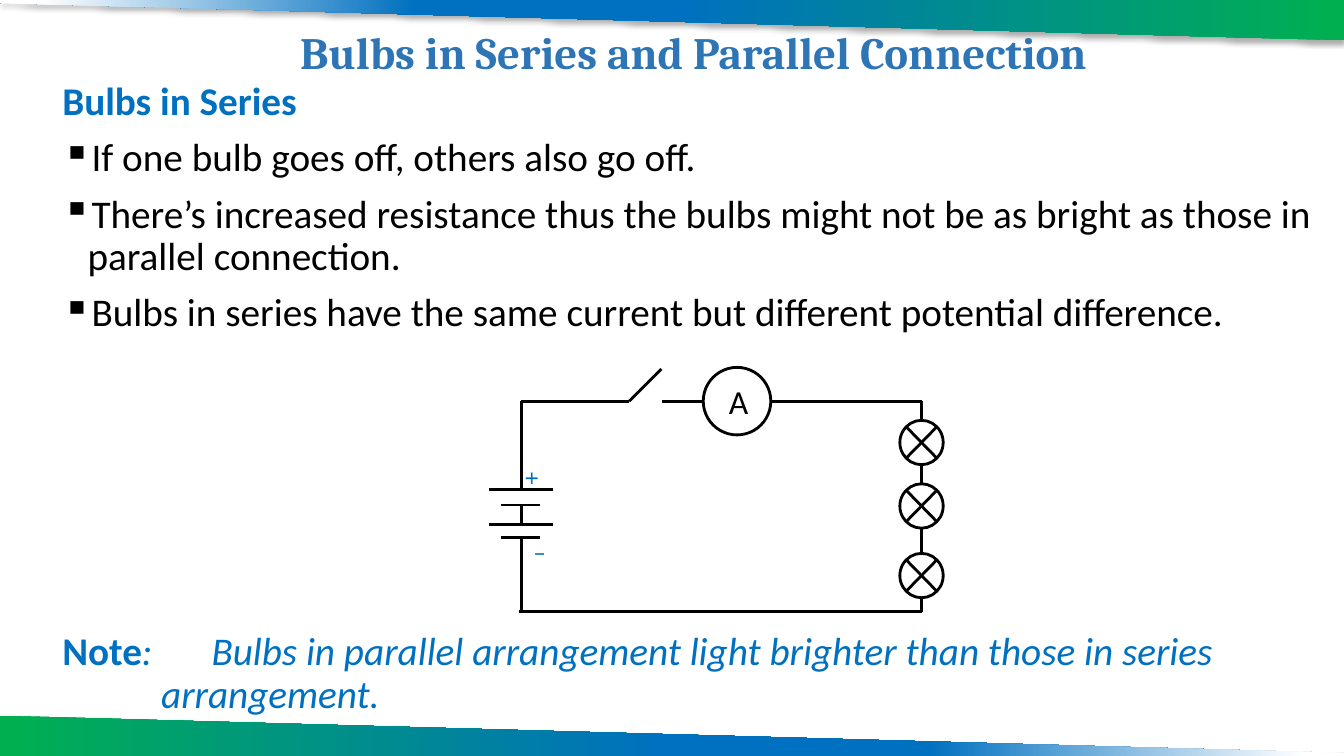
from dataclasses import dataclass, field
from typing import NamedTuple

from lxml.etree import SubElement
from pptx import Presentation
from pptx.dml.color import RGBColor
from pptx.enum.shapes import MSO_CONNECTOR as Connector, MSO_SHAPE as Shape
from pptx.enum.text import MSO_ANCHOR as Anchor, PP_ALIGN as Align
from pptx.oxml import parse_xml
from pptx.oxml.ns import nsdecls, qn
from pptx.util import Inches, Pt

BLACK, WHITE, BLUE, TITLE_BLUE, GREEN = "000000", "FFFFFF", "0070C0", "2E75B6", "00B050"
WIDTH, HEIGHT = 13.33, 7.5
BAND_STOPS = [(0, GREEN), (50, BLUE), (69, BLUE), (97, WHITE)]


class Box(NamedTuple):
    left: float
    top: float
    width: float
    height: float


class Wire(NamedTuple):
    x1: float
    y1: float
    x2: float
    y2: float


class Band(NamedTuple):
    corners: list[tuple[float, float]]
    angle: int


class Run(NamedTuple):
    text: str
    color: str = BLACK
    style: dict = {}


@dataclass
class Para:
    runs: list[Run]
    bullet: str = ""
    hang: float = 0
    tab: float = 0
    align: Align = Align.LEFT
    spacing: float = 0.9


@dataclass
class TextBlock:
    box: Box
    paras: list[Para]
    font: dict
    anchor: Anchor = Anchor.TOP
    inset: tuple[float, float] = (0.1, 0.05)
    rotation: float = 0


@dataclass
class Symbol:
    kind: Shape
    center: tuple[float, float]
    size: tuple[float, float] = field(default=(0.43, 0.44))


def rgb(value: str) -> RGBColor:
    return RGBColor.from_string(value)


def draw_band(shapes, band: Band) -> None:
    start, *others = [(Inches(x), Inches(y)) for x, y in band.corners]
    builder = shapes.build_freeform(*start)
    builder.add_line_segments(others, close=True)
    shape = builder.convert_to_shape()
    shape.line.fill.background()
    stops = "".join(f'<a:gs pos="{pos * 1000}"><a:srgbClr val="{color}"/></a:gs>'
                    for pos, color in BAND_STOPS)
    properties = shape._element.spPr
    outline = properties.find(qn("a:ln"))
    outline.addprevious(parse_xml(
        f'<a:gradFill {nsdecls("a")} rotWithShape="1"><a:gsLst>{stops}</a:gsLst>'
        f'<a:lin ang="{band.angle * 60000}" scaled="0"/></a:gradFill>'))
    outline.addnext(parse_xml(
        f'<a:effectLst {nsdecls("a")}><a:outerShdw blurRad="{Pt(3.5)}" dist="{Pt(2.2)}" '
        f'dir="5400000" rotWithShape="0"><a:srgbClr val="{BLACK}">'
        '<a:alpha val="32000"/></a:srgbClr></a:outerShdw></a:effectLst>'))


def draw_text(shapes, block: TextBlock) -> None:
    shape = shapes.add_textbox(*map(Inches, block.box))
    shape.rotation = block.rotation
    frame = shape.text_frame
    side, end = map(Inches, block.inset)
    layout = {"word_wrap": True, "vertical_anchor": block.anchor, "margin_left": side,
              "margin_right": side, "margin_top": end, "margin_bottom": end}
    for name, value in layout.items():
        setattr(frame, name, value)
    for index, para in enumerate(block.paras):
        paragraph = frame.add_paragraph() if index else frame.paragraphs[0]
        paragraph.alignment = para.align
        paragraph.line_spacing = para.spacing
        if index:
            paragraph.space_before = Pt(10)
        properties = paragraph._p.get_or_add_pPr()
        if para.hang:
            properties.set("marL", str(Inches(para.hang)))
            properties.set("indent", str(-Inches(para.hang)))
        if para.bullet:
            SubElement(properties, qn("a:buChar")).set("char", para.bullet)
        if para.tab:
            tab = SubElement(SubElement(properties, qn("a:tabLst")), qn("a:tab"))
            tab.set("pos", str(Inches(para.tab)))
            tab.set("algn", "l")
        for part in para.runs:
            run = paragraph.add_run()
            run.text = part.text
            for name, value in {**block.font, **part.style}.items():
                setattr(run.font, name, value)
            run.font.color.rgb = rgb(part.color)


def draw_wire(shapes, wire: Wire) -> None:
    line = shapes.add_connector(Connector.STRAIGHT, *map(Inches, wire))
    line.line.width = Pt(2)
    line.line.color.rgb = rgb(BLACK)
    SubElement(line._element.spPr, qn("a:effectLst"))


def draw_symbol(shapes, symbol: Symbol) -> None:
    (x, y), (width, height) = symbol.center, symbol.size
    box = Box(x - width / 2, y - height / 2, width, height)
    shape = shapes.add_shape(symbol.kind, *map(Inches, box))
    shape.shadow.inherit = False
    shape.fill.solid()
    shape.fill.fore_color.rgb = rgb(WHITE)
    shape.line.color.rgb = rgb(BLACK)
    shape.line.width = Pt(2)


# Decorative bands along the top and bottom edges
BANDS = [
    Band([(0, 0), (WIDTH, 0), (WIDTH, 0.4), (0, 0.03)], 180),
    Band([(WIDTH, HEIGHT), (0, HEIGHT), (0, 7.1), (WIDTH, 7.47)], 0),
]

# Title, bullets and note
BODY = {"name": "Calibri", "size": Pt(28)}
BOLD, ITALIC = {"bold": True}, {"italic": True}
POINTS = [
    "If one bulb goes off, others also go off.",
    "There’s increased resistance thus the bulbs might not be as bright as those in "
    "parallel connection.",
    "Bulbs in series have the same current but different potential difference.",
]
TEXTS = [
    TextBlock(Box(1.29, 0.14, 11.18, 0.81),
              [Para([Run("Bulbs in Series and Parallel Connection", TITLE_BLUE, BOLD)],
                    align=Align.CENTER)],
              {"name": "Cambria", "size": Pt(32)}, Anchor.MIDDLE),
    TextBlock(Box(0.52, 0.76, 12.65, 2.7),
              [Para([Run("Bulbs in Series", BLUE, BOLD)])]
              + [Para([Run(point)], bullet="▪", hang=0.25) for point in POINTS], BODY),
    TextBlock(Box(0.52, 6.22, 12.65, 0.98),
              [Para([Run("Note", BLUE, BOLD),
                     Run(": \tBulbs in parallel arrangement light brighter than those in "
                         "series arrangement.", BLUE, ITALIC)], hang=0.98, tab=0.98)], BODY),
]

# Circuit: battery on the left, switch and ammeter on top, bulbs on the right
LEFT, RIGHT, TOP, BOTTOM = 5.17, 9.14, 3.98, 6.07
SWITCH = 6.24
LONG_PLATES, SHORT_PLATES = (4.86, 5.2), (5.01, 5.33)
PLATES = ([Wire(4.85, y, 5.48, y) for y in LONG_PLATES]
          + [Wire(4.97, y, 5.36, y) for y in SHORT_PLATES])
WIRES = PLATES + [
    Wire(LEFT, TOP, LEFT, LONG_PLATES[0]),
    Wire(LEFT, SHORT_PLATES[0], LEFT, LONG_PLATES[1]),
    Wire(LEFT, SHORT_PLATES[1], LEFT, BOTTOM),
    Wire(LEFT, TOP, SWITCH, TOP),
    Wire(SWITCH, TOP, SWITCH + 0.32, TOP - 0.32),
    Wire(SWITCH + 0.33, TOP, RIGHT, TOP),
    Wire(RIGHT, TOP, RIGHT, BOTTOM),
    Wire(LEFT - 0.02, BOTTOM, RIGHT, BOTTOM),
]
SYMBOLS = [Symbol(Shape.OVAL, (7.31, TOP), (0.67, 0.67))] + [
    Symbol(Shape.FLOWCHART_SUMMING_JUNCTION, (RIGHT, y)) for y in (4.39, 5.02, 5.71)]
POLE = {"name": "Calibri", "size": Pt(18)}
LABELS = [
    TextBlock(Box(5.07, 4.51, 0.2, 0.55), [Para([Run("+", BLUE)], spacing=1.0)], POLE,
              inset=(0, 0), rotation=90),
    TextBlock(Box(5.29, 5.32, 0.2, 0.55), [Para([Run("–", BLUE)], spacing=1.0)], POLE,
              inset=(0, 0)),
    TextBlock(Box(7.16, 3.73, 0.33, 0.5),
              [Para([Run("A")], align=Align.CENTER, spacing=1.0)],
              {"name": "Calibri", "size": Pt(24)}, Anchor.MIDDLE, inset=(0, 0)),
]


def main() -> None:
    deck = Presentation()
    deck.slide_width, deck.slide_height = Inches(WIDTH), Inches(HEIGHT)
    shapes = deck.slides.add_slide(deck.slide_layouts[6]).shapes
    for draw, parts in ((draw_band, BANDS), (draw_text, TEXTS), (draw_wire, WIRES),
                        (draw_symbol, SYMBOLS), (draw_text, LABELS)):
        for part in parts:
            draw(shapes, part)
    deck.save("out.pptx")


if __name__ == "__main__":
    main()
